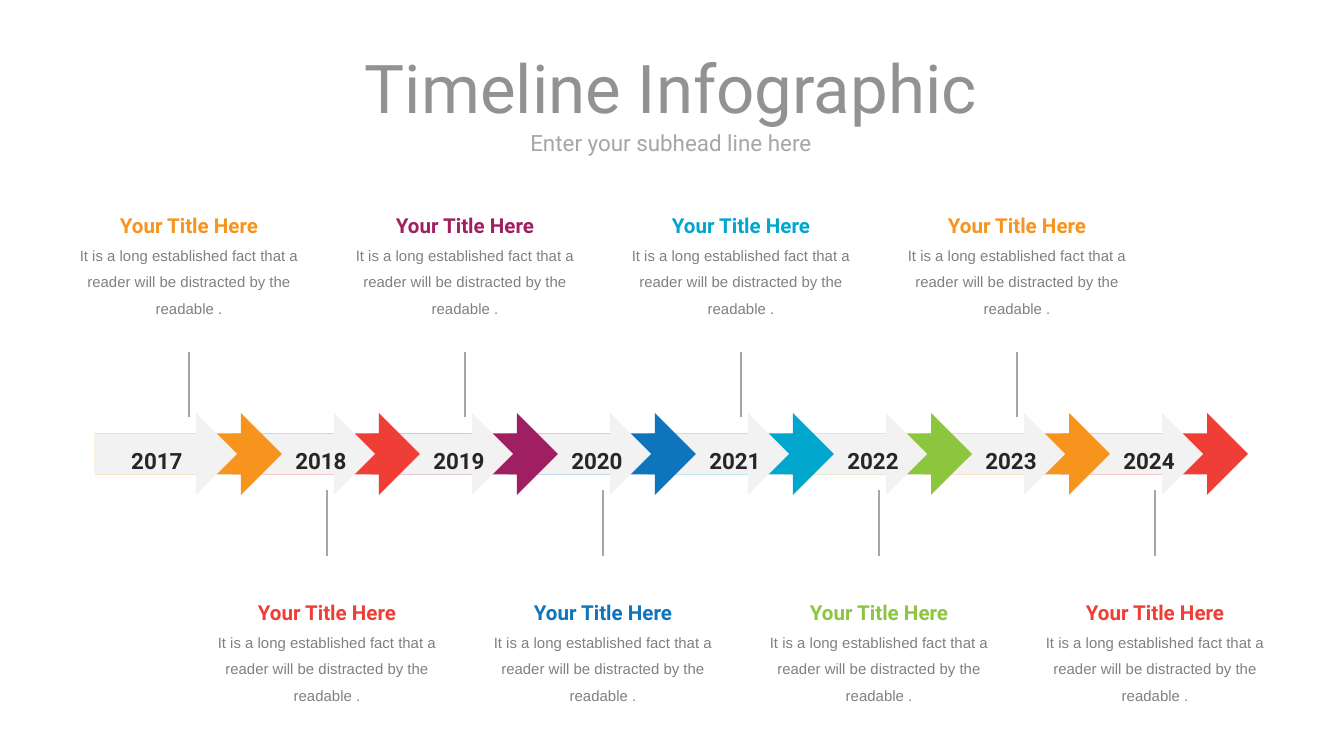
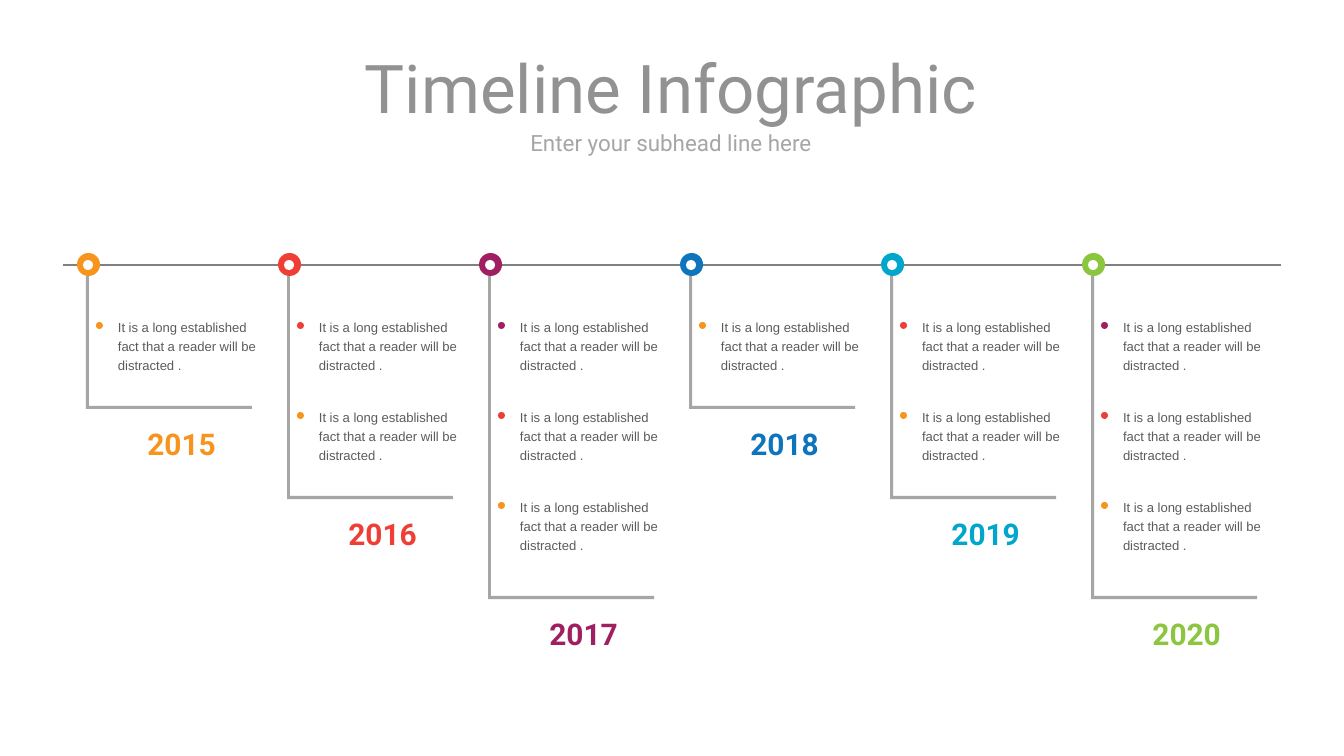
from lxml import etree
from pptx import Presentation
from pptx.dml.color import RGBColor
from pptx.enum.shapes import MSO_CONNECTOR, MSO_SHAPE
from pptx.enum.text import MSO_ANCHOR, MSO_AUTO_SIZE, PP_ALIGN
from pptx.oxml.ns import qn
from pptx.shapes.connector import Connector
from pptx.util import Inches, Pt

PX = 6804  # EMU in one pixel

# Colours
ORANGE = RGBColor(0xF7, 0x94, 0x1D)
RED = RGBColor(0xEF, 0x3E, 0x36)
PLUM = RGBColor(0xA0, 0x1F, 0x62)
BLUE = RGBColor(0x0E, 0x74, 0xBC)
CYAN = RGBColor(0x00, 0xA6, 0xCC)
GREEN = RGBColor(0x8C, 0xC6, 0x3E)
WHITE = RGBColor(0xFF, 0xFF, 0xFF)
PALE = RGBColor(0xF2, 0xF2, 0xF2)
SILVER = RGBColor(0xA6, 0xA6, 0xA6)
TITLE_GREY = RGBColor(0x92, 0x92, 0x92)
GREY = RGBColor(0x80, 0x80, 0x80)
DARK = RGBColor(0x5C, 0x5C, 0x5C)
INK = RGBColor(0x26, 0x26, 0x26)
SERIES = [ORANGE, RED, PLUM, BLUE, CYAN, GREEN]

# Text formats
TITLE = dict(name="Roboto", size=Pt(36), bold=False)
SUBHEAD = dict(name="Roboto", size=Pt(12), bold=False)
HEADING = dict(name="Roboto", size=Pt(11), bold=True)
DETAIL = dict(name="Arial", size=Pt(8), bold=False)
ARROW_YEAR = dict(name="Roboto", size=Pt(12), bold=True)
ITEM = dict(name="Arial", size=Pt(7), bold=False)
COLUMN_YEAR = dict(name="Roboto", size=Pt(16), bold=True)


def write(sp, box, lines, spacing, align=PP_ALIGN.CENTER, fit=MSO_AUTO_SIZE.SHAPE_TO_FIT_TEXT):
    """Place a text shape and fill it with (text, format, colour) lines."""
    sp.left, sp.top, sp.width, sp.height = [v * PX for v in box]
    tf = sp.text_frame
    frame = dict(margin_left=0, margin_top=0, margin_right=0, margin_bottom=0,
                 word_wrap=True, auto_size=fit, vertical_anchor=MSO_ANCHOR.MIDDLE)
    for key, value in frame.items():
        setattr(tf, key, value)
    for i, (text, fmt, color) in enumerate(lines):
        p = tf.add_paragraph() if i else tf.paragraphs[0]
        p.alignment, p.line_spacing, p.space_before = align, spacing, 0
        r = p.add_run()
        r.text = text
        for key, value in fmt.items():
            setattr(r.font, key, value)
        r.font.color.rgb = color


def paint(sp, color):
    """Give a shape a flat fill without outline or shadow."""
    sp.shadow.inherit = False
    sp.fill.solid()
    sp.fill.fore_color.rgb = color
    sp.line.fill.background()


prs = Presentation()
prs.slide_width, prs.slide_height = Inches(10), Inches(5.625)

# Title and subhead on both slides
for _ in range(2):
    s = prs.slides.add_slide(prs.slide_layouts[2])
    title, subhead = s.placeholders
    write(title, (56, 50, 1230, 73), [("Timeline Infographic", TITLE, TITLE_GREY)], 1.0,
          fit=MSO_AUTO_SIZE.NONE)
    title.text_frame.paragraphs[0].runs[0]._r.get_or_add_rPr().set("cap", "none")
    write(subhead, (56, 130, 1230, 26), [("Enter your subhead line here", SUBHEAD, SILVER)], 1.0,
          fit=MSO_AUTO_SIZE.NONE)
arrows, columns = prs.slides

# Slide 1: arrows from right to left, so that each tip lies over the next arrow
STEP = 138
arrow_colors = SERIES + [ORANGE, RED]
for i, color in reversed(list(enumerate(arrow_colors))):
    x = i * STEP
    for width, fill in ((187, color), (142, PALE)):
        box = [v * PX for v in (95 + x, 413, width, 82)]
        paint(arrows.shapes.add_shape(MSO_SHAPE.RIGHT_ARROW, *box), fill)

    # Captions alternate above and below
    text_top, line_from, line_to = (587, 556, 490) if i % 2 else (200, 352, 417)
    write(arrows.shapes.add_textbox(0, 0, 0, 0), (74 + x, text_top, 230, 118),
          [("Your Title Here", HEADING, color),
           ("It is a long established fact that a reader will be distracted by the readable .",
            DETAIL, GREY)], 1.5)
    ends = [v * PX for v in (189 + x, line_from, 189 + x, line_to)]
    arrows.shapes.add_connector(MSO_CONNECTOR.STRAIGHT, *ends).line.color.rgb = SILVER

# Years on the arrows
for i in range(len(arrow_colors)):
    x = 124 + i * STEP if i else 98
    write(arrows.shapes.add_textbox(0, 0, 0, 0), (x, 434, 118, 40),
          [(str(2017 + i), ARROW_YEAR, INK)], 1.5)

# Slide 2: brackets, deeper for more items
PITCH = 201
BOTTOMS = {1: 409, 2: 499, 3: 599}
counts = [1, 2, 3, 1, 2, 3]
for i, count in enumerate(counts):
    left, top, bottom = 86 + i * PITCH, 276, BOTTOMS[count]
    right = left + 166
    fb = columns.shapes.build_freeform(left, bottom, scale=PX)
    fb.add_line_segments([(right, bottom), (right, bottom - 3), (left + 3, bottom - 3),
                          (left + 3, top), (left, top)])
    paint(fb.convert_to_shape(), SILVER)

# Axis
ends = [v * PX for v in (63, 265, 1281, 265)]
columns.shapes.add_connector(MSO_CONNECTOR.STRAIGHT, *ends).line.color.rgb = GREY

# Markers, items and years
for i, (count, color) in enumerate(zip(counts, SERIES)):
    x = i * PITCH
    marker = columns.shapes.add_group_shape()
    for left, top, size, fill in ((77, 253, 23, color), (83, 260, 10, WHITE)):
        box = [v * PX for v in (left + x, top, size, size)]
        paint(marker.shapes.add_shape(MSO_SHAPE.OVAL, *box), fill)
    for row in range(count):
        y = row * 90
        write(columns.shapes.add_textbox(0, 0, 0, 0), (118 + x, 317 + y, 144, 56),
              [("It is a long established fact that a reader will be distracted .", ITEM, DARK)],
              1.2, PP_ALIGN.LEFT)
        box = [v * PX for v in (96 + x, 322 + y, 7, 7)]
        paint(columns.shapes.add_shape(MSO_SHAPE.OVAL, *box), SERIES[count - 1 - row])
    write(columns.shapes.add_textbox(0, 0, 0, 0), (119 + x, BOTTOMS[count] + 10, 125, 42),
          [(str(2015 + i), COLUMN_YEAR, color)], 1.2)

# Thin lines without shadow
for s in prs.slides:
    for sp in s.shapes:
        if isinstance(sp, Connector):
            sp.line.width = Pt(1)
            etree.SubElement(sp._element.spPr, qn("a:effectLst"))

prs.save("out.pptx")
